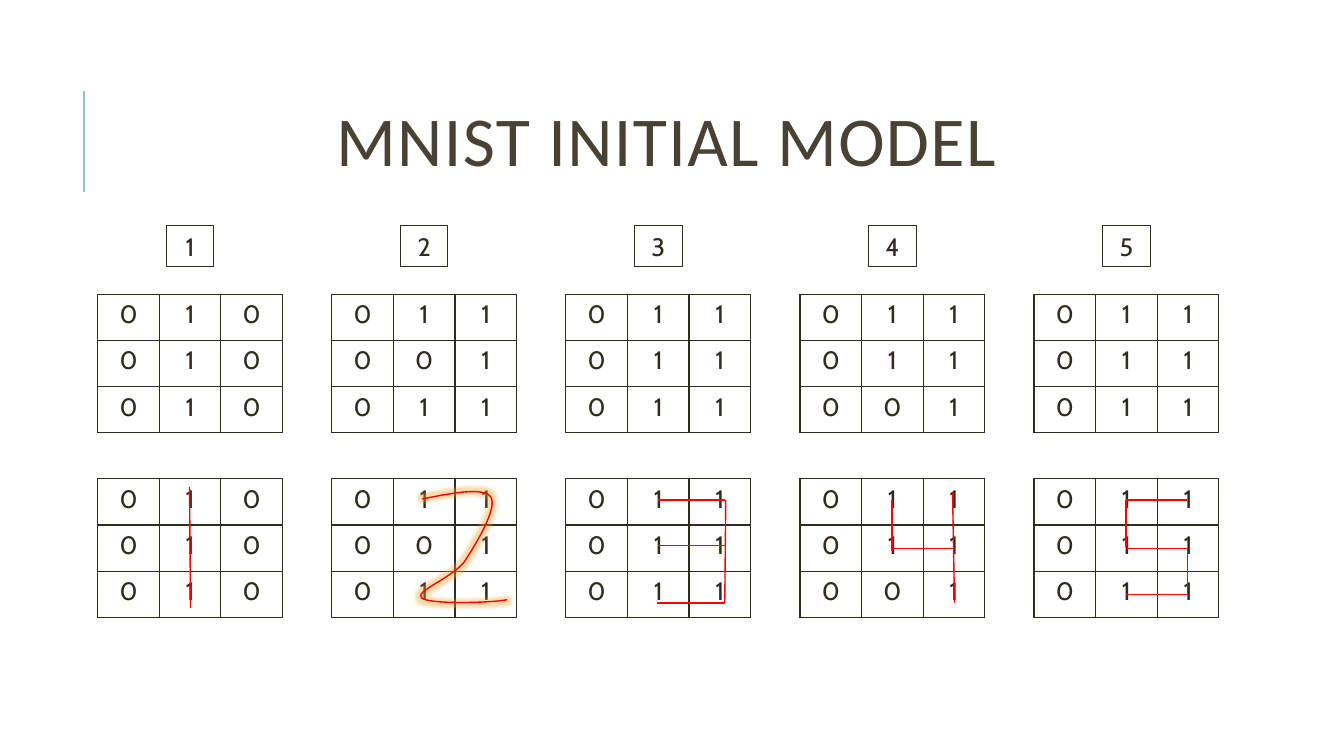
from lxml import etree
from pptx import Presentation
from pptx import util as u
from pptx.dml.color import RGBColor
from pptx.enum import shapes, text
from pptx.oxml import parse_xml
from pptx.oxml.ns import nsdecls, qn

INK, RED, TEAL, BROWN = "2E2B21", "FF0000", "9CBEBD", "474233"
LEFT, STEP = 69.8, 167.2
WIDE, ROW = 132, 33
TOPS = (210.2, 342)
GRIDS = {
    "1": ("010", "010", "010"),
    "2": ("011", "001", "011"),
    "3": ("011", "011", "011"),
    "4": ("011", "011", "001"),
    "5": ("011", "011", "011"),
}
# Pen strokes, measured from the top left corner of the digit's lower grid
STROKES = {
    "1": [(65.6, 5.8, 66.3, 92.2)],
    "3": [(66, 15.1, 113.5, 15.1), (114.2, 15.1, 113.5, 88.6),
          (113.5, 88.6, 65.2, 88.6), (113.5, 47.5, 66, 47.5)],
    "4": [(65.8, 15.1, 65.8, 51.8), (65.8, 49.7, 109.7, 49.7),
          (109, 9.4, 110.4, 88.6)],
    "5": [(109.6, 15.1, 65.6, 15.1), (65.6, 15.1, 65.6, 49),
          (65.6, 49.7, 109.6, 49.7), (109.6, 49.7, 109.6, 82.8),
          (109.6, 82.8, 65.6, 82.8)],
}
# Start point, then two control points and an end point for each curve
TWO = [(64.7, 14.4),
       (86.3, 10.1), (108.6, 5.8), (113.6, 13),
       (118.7, 20.9), (102.8, 46.8), (94.9, 59),
       (86.3, 70.6), (58.9, 80.6), (64, 85),
       (69, 90), (115.1, 88.6), (125.2, 86.4)]


def color(code):
    return RGBColor.from_string(code)


def write(frame, words, font="Cabin", size=18, ink=INK, lead=None, track=None):
    par = frame.paragraphs[0]
    par.alignment = text.PP_ALIGN.CENTER
    if lead:
        par.line_spacing = lead
    run = par.add_run()
    run.text = words
    run.font.name = font
    run.font.size = u.Pt(size)
    run.font.color.rgb = color(ink)
    if track:
        run.font._element.set("spc", str(track * 100))


def add_title(slide, words):
    box = slide.shapes.add_textbox(u.Pt(80), u.Pt(47.5), u.Pt(792), u.Pt(114.5))
    frame = box.text_frame
    frame.word_wrap = True
    frame.vertical_anchor = text.MSO_ANCHOR.MIDDLE
    write(frame, words, font="Calibri", size=50, ink=BROWN, lead=0.8, track=1)


def add_line(slide, x1, y1, x2, y2, ink=RED, width=1):
    line = slide.shapes.add_connector(
        shapes.MSO_CONNECTOR.STRAIGHT, u.Pt(x1), u.Pt(y1), u.Pt(x2), u.Pt(y2))
    line.line.color.rgb = color(ink)
    line.line.width = u.Pt(width)
    etree.SubElement(line._element.spPr, qn("a:effectLst"))


def add_label(slide, words, mid):
    box = slide.shapes.add_shape(
        shapes.MSO_SHAPE.RECTANGLE, u.Pt(mid - 17), u.Pt(161.4), u.Pt(34), u.Pt(29))
    box.shadow.inherit = False
    box.fill.background()
    box.line.color.rgb = color(INK)
    box.line.width = u.Pt(0.75)
    box.text_frame.vertical_anchor = text.MSO_ANCHOR.MIDDLE
    write(box.text_frame, words)


def add_border(cell):
    props = cell._tc.get_or_add_tcPr()
    for side in ("lnL", "lnR", "lnT", "lnB"):
        props.append(parse_xml(
            f'<a:{side} {nsdecls("a")} w="12700"><a:solidFill>'
            f'<a:srgbClr val="{INK}"/></a:solidFill></a:{side}>'))


def add_grid(slide, rows, left, top):
    table = slide.shapes.add_table(
        3, 3, u.Pt(left), u.Pt(top), u.Pt(WIDE), u.Pt(3 * ROW)).table
    table.first_row = table.horz_banding = False
    for r, bits in enumerate(rows):
        for c, bit in enumerate(bits):
            cell = table.cell(r, c)
            add_border(cell)
            cell.fill.background()
            write(cell.text_frame, bit)


def add_curve(slide, points, left, top):
    """Draw a glowing red curve through cubic segments."""
    spots = [(u.Pt(left + x), u.Pt(top + y)) for x, y in points]
    form = slide.shapes.build_freeform(*spots[0])
    form.add_line_segments(spots[1:], close=False)
    curve = form.convert_to_shape()
    curve.fill.background()
    curve.line.color.rgb = color(RED)
    curve.line.width = u.Pt(1)
    props = curve._element.spPr
    route = props.find(".//" + qn("a:path"))
    legs = route.findall(qn("a:lnTo"))
    for i in range(0, len(legs), 3):
        bend = etree.SubElement(route, qn("a:cubicBezTo"))
        for leg in legs[i:i + 3]:
            bend.append(leg[0])
            route.remove(leg)
    props.append(parse_xml(
        f'<a:effectLst {nsdecls("a")}><a:glow rad="63500"><a:srgbClr val="F0A22E">'
        '<a:alpha val="40000"/></a:srgbClr></a:glow></a:effectLst>'))


def main():
    deck = Presentation()
    deck.slide_width, deck.slide_height = u.Pt(960), u.Pt(540)
    slide = deck.slides.add_slide(deck.slide_layouts[6])
    add_line(slide, 60, 136.8, 60, 64.8, ink=TEAL, width=1.5)
    add_title(slide, "MNIST INITIAL MODEL")
    for i, (digit, rows) in enumerate(GRIDS.items()):
        left = LEFT + i * STEP
        for top in TOPS:
            add_grid(slide, rows, left, top)
        for x1, y1, x2, y2 in STROKES.get(digit, []):
            add_line(slide, left + x1, top + y1, left + x2, top + y2)
        if digit == "2":
            add_curve(slide, TWO, left, top)
        add_label(slide, digit, left + WIDE / 2)
    deck.save("out.pptx")


if __name__ == "__main__":
    main()
